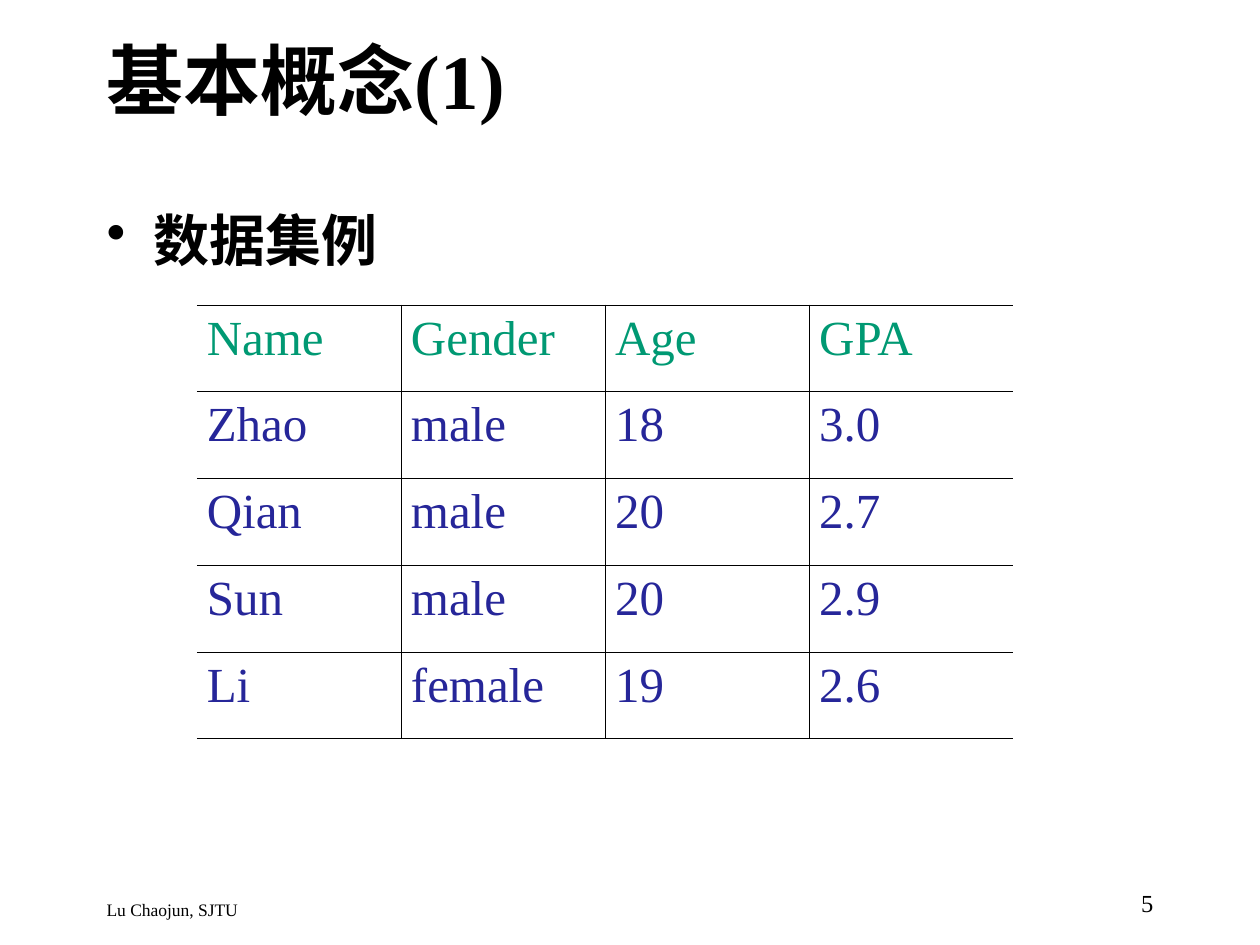
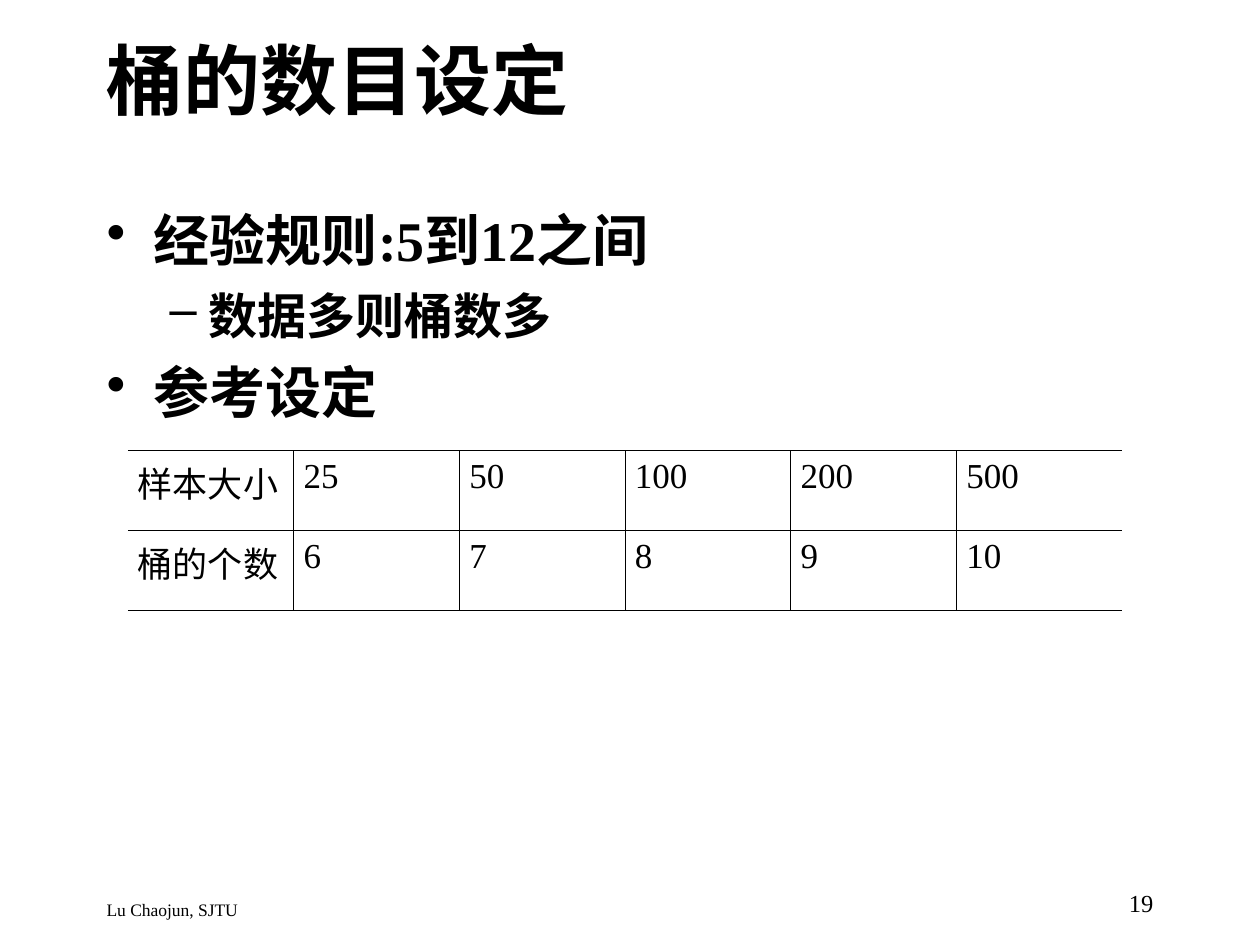
from lxml.etree import SubElement
from pptx import Presentation
from pptx.dml.color import RGBColor
from pptx.enum.lang import MSO_LANGUAGE_ID
from pptx.enum.text import MSO_ANCHOR, PP_ALIGN
from pptx.oxml.ns import qn
from pptx.util import Cm, Pt

FONT = "Times New Roman"
FOOTER = "Lu Chaojun, SJTU"
COLORS = {"text": "000000", "header": "009973", "data": "262699"}
BULLETS = [
    {"mark": "•", "indent": 0.95, "hanging": 0.95, "size": 32, "before": 8},
    {"mark": "–", "indent": 2.06, "hanging": 0.79, "size": 28, "before": 7},
]
SLIDES = [
    {
        "title": "基本概念(1)",
        "points": [(0, "数据集例")],
        "rows": [
            ("Name", "Gender", "Age", "GPA"),
            ("Zhao", "male", "18", "3.0"),
            ("Qian", "male", "20", "2.7"),
            ("Sun", "male", "20", "2.9"),
            ("Li", "female", "19", "2.6"),
        ],
        "table": {"left": 3.97, "top": 6.15, "width": 16.46, "height": 8.74},
        "size": 28,
        "colors": ("header", "data"),
        "number": "5",
    },
    {
        "title": "桶的数目设定",
        "points": [(0, "经验规则:5到12之间"), (1, "数据多则桶数多"), (0, "参考设定")],
        "rows": [
            ("样本大小", "25", "50", "100", "200", "500"),
            ("桶的个数", "6", "7", "8", "9", "10"),
        ],
        "table": {"left": 2.58, "top": 9.08, "width": 20.04, "height": 3.22},
        "size": 20,
        "colors": ("text", "text"),
        "number": "19",
    },
]


def style(paragraph, size, color="text", bold=False):
    for run in paragraph.runs:
        run.font.name = FONT
        run.font.size = Pt(size)
        run.font.bold = bold
        run.font.color.rgb = RGBColor.from_string(COLORS[color])
        run.font.language_id = MSO_LANGUAGE_ID.SIMPLIFIED_CHINESE


def add_text(slide, box, text, size, bold=False, anchor=MSO_ANCHOR.TOP, align=PP_ALIGN.LEFT):
    text_frame = slide.shapes.add_textbox(*map(Cm, box)).text_frame
    text_frame.word_wrap = True
    text_frame.vertical_anchor = anchor
    text_frame.text = text
    for paragraph in text_frame.paragraphs:
        paragraph.alignment = align
        style(paragraph, size, bold=bold)
    return text_frame


def add_points(slide, points):
    text = "\n".join(words for _, words in points)
    text_frame = add_text(slide, (1.9, 4.02, 21.6, 12.9), text, 32, bold=True)
    for index, (level, _) in enumerate(points):
        paragraph, bullet = text_frame.paragraphs[index], BULLETS[level]
        paragraph.level = level
        if index:
            paragraph.space_before = Pt(bullet["before"])
        properties = paragraph._p.get_or_add_pPr()
        properties.set("marL", str(Cm(bullet["indent"])))
        properties.set("indent", str(-Cm(bullet["hanging"])))
        SubElement(properties, qn("a:buChar")).set("char", bullet["mark"])
        style(paragraph, bullet["size"], bold=True)


def set_borders(cell, sides):
    properties = cell._tc.get_or_add_tcPr()
    for position, side in enumerate(("L", "R", "T", "B")):
        line = properties.makeelement(qn(f"a:ln{side}"), {"w": str(Pt(0.45))})
        if side in sides:
            fill = SubElement(line, qn("a:solidFill"))
            SubElement(fill, qn("a:srgbClr")).set("val", COLORS["text"])
        else:
            SubElement(line, qn("a:noFill"))
        properties.insert(position, line)


def add_data_table(slide, rows, box, size, colors):
    row_count, column_count = len(rows), len(rows[0])
    frame = slide.shapes.add_table(
        row_count, column_count, *(Cm(box[key]) for key in ("left", "top", "width", "height"))
    )
    table = frame.table
    table.first_row = table.horz_banding = False
    for row_index, row in enumerate(rows):
        for column_index, value in enumerate(row):
            cell = table.cell(row_index, column_index)
            cell.text = value
            cell.fill.background()
            cell.margin_left = cell.margin_right = Cm(0.2)
            cell.margin_top = cell.margin_bottom = Cm(0.13)
            paragraph = cell.text_frame.paragraphs[0]
            paragraph.alignment = PP_ALIGN.JUSTIFY
            style(paragraph, size, colors[min(row_index, 1)])
            left = "L" if column_index else ""
            right = "R" if column_index < column_count - 1 else ""
            set_borders(cell, "TB" + left + right)


def main():
    """Build the two slides and save them."""
    presentation = Presentation()
    presentation.slide_width, presentation.slide_height = Cm(25.4), Cm(19.05)
    for content in SLIDES:
        slide = presentation.slides.add_slide(presentation.slide_layouts[6])
        add_text(slide, (1.9, 0, 21.6, 3.18), content["title"], 44, True, MSO_ANCHOR.MIDDLE)
        add_points(slide, content["points"])
        add_text(slide, (1.9, 17.99, 14.73, 0.64), FOOTER, 10)
        add_text(slide, (18.2, 17.78, 5.3, 0.85), content["number"], 14, align=PP_ALIGN.RIGHT)
        add_data_table(slide, content["rows"], content["table"], content["size"], content["colors"])
    presentation.save("out.pptx")


if __name__ == "__main__":
    main()
